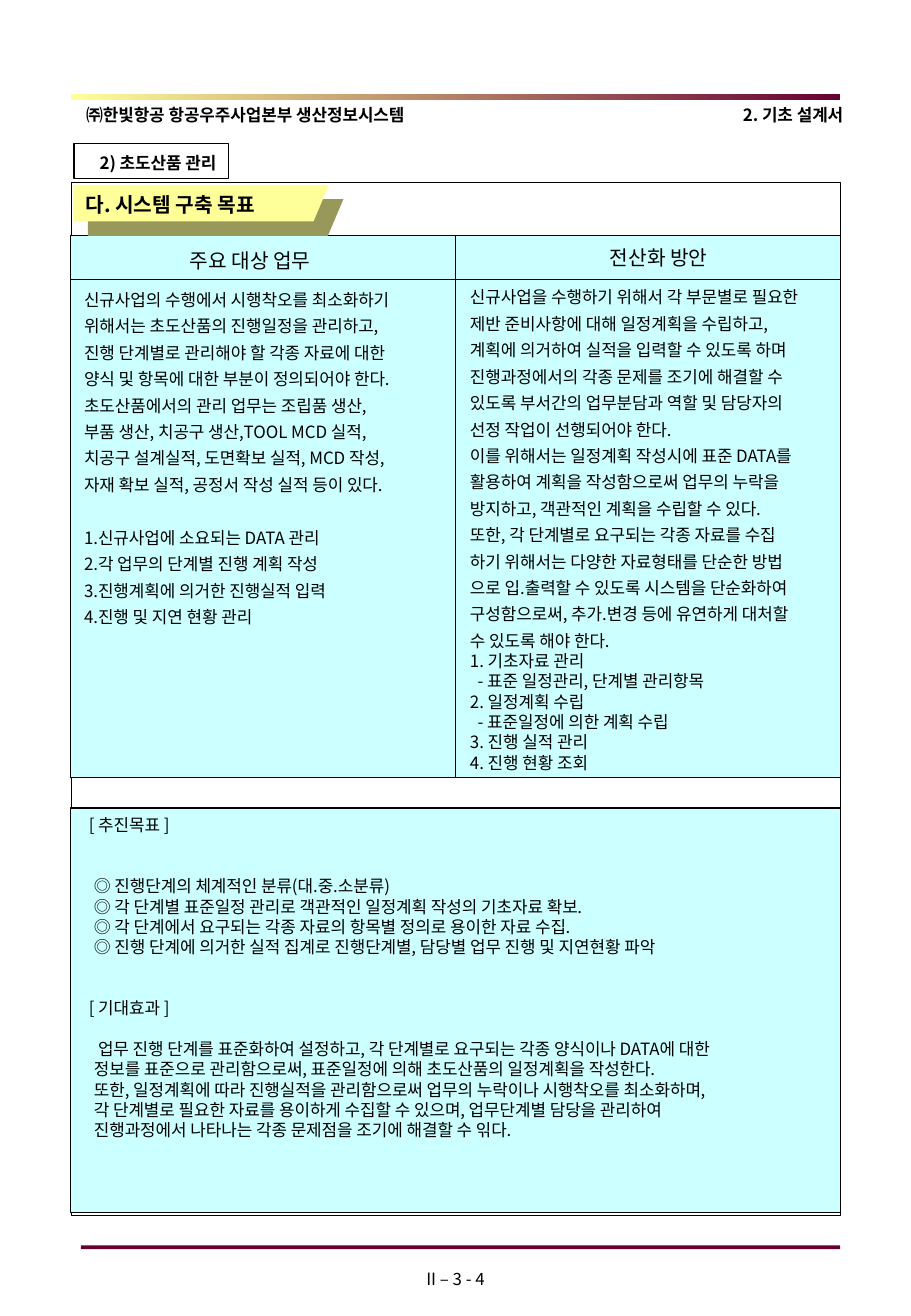
"""Builds the system goals page of the first-article management design document."""
from typing import NamedTuple

from lxml import etree
from pptx import Presentation
from pptx.dml.color import RGBColor
from pptx.enum.shapes import MSO_SHAPE
from pptx.enum.text import MSO_ANCHOR, MSO_AUTO_SIZE, PP_ALIGN
from pptx.oxml.ns import qn
from pptx.util import Pt

RECTANGLE = MSO_SHAPE.RECTANGLE
TOP = MSO_ANCHOR.TOP
NO_AUTOSIZE = MSO_AUTO_SIZE.NONE
LEFT, CENTER, RIGHT = PP_ALIGN.LEFT, PP_ALIGN.CENTER, PP_ALIGN.RIGHT

BLACK = RGBColor(0x00, 0x00, 0x00)
WINE = RGBColor(0x66, 0x00, 0x33)
YELLOW = RGBColor(0xFF, 0xFF, 0x99)
OLIVE = RGBColor(0x98, 0x98, 0x5B)
CYAN = RGBColor(0xCC, 0xFF, 0xFF)

FONT = "Noto Sans CJK KR"
TIGHT, LABEL, HEADING, LOOSE = 12.04, 13.2, 14.4, 15.64


class Line(NamedTuple):
    text: str
    pitch: float = TIGHT
    gap: float = 0
    indent: float = 0
    first: float = 0


TASKS = [Line(text, LOOSE) for text in (
    "신규사업의 수행에서 시행착오를 최소화하기",
    "위해서는 초도산품의 진행일정을 관리하고,",
    "진행 단계별로 관리해야 할 각종 자료에 대한",
    "양식 및 항목에 대한 부분이 정의되어야 한다.",
    "초도산품에서의 관리 업무는 조립품 생산,",
    "부품 생산, 치공구 생산,TOOL MCD 실적,",
    "치공구 설계실적, 도면확보 실적, MCD 작성,",
    "자재 확보 실적, 공정서 작성 실적 등이 있다.",
)] + [
    Line("1.신규사업에 소요되는 DATA 관리", LOOSE, LOOSE),
    Line("2.각 업무의 단계별 진행 계획 작성", LOOSE),
    Line("3.진행계획에 의거한 진행실적 입력", LOOSE),
    Line("4.진행 및 지연 현황 관리", LOOSE),
]

PLANS = [Line(text, LOOSE) for text in (
    "신규사업을 수행하기 위해서 각 부문별로 필요한",
    "제반 준비사항에 대해 일정계획을 수립하고,",
    "계획에 의거하여 실적을 입력할 수 있도록 하며",
    "진행과정에서의 각종 문제를 조기에 해결할 수",
    "있도록 부서간의 업무분담과 역할 및 담당자의",
    "선정 작업이 선행되어야 한다.",
    "이를 위해서는 일정계획 작성시에 표준 DATA를",
    "활용하여 계획을 작성함으로써 업무의 누락을",
    "방지하고, 객관적인 계획을 수립할 수 있다.",
    "또한, 각 단계별로 요구되는 각종 자료를 수집",
    "하기 위해서는 다양한 자료형태를 단순한 방법",
    "으로 입.출력할 수 있도록 시스템을 단순화하여",
    "구성함으로써, 추가.변경 등에 유연하게 대처할",
    "수 있도록 해야 한다.",
)] + [
    Line("1. 기초자료 관리"),
    Line("- 표준 일정관리, 단계별 관리항목", indent=4.5),
    Line("2. 일정계획 수립"),
    Line("- 표준일정에 의한 계획 수립", indent=4.5),
    Line("3. 진행 실적 관리"),
    Line("4. 진행 현황 조회"),
]

GOALS = [
    Line("[ 추진목표 ]"),
    Line("◎ 진행단계의 체계적인 분류(대.중.소분류)", gap=2 * TIGHT, indent=3),
    Line("◎ 각 단계별 표준일정 관리로 객관적인 일정계획 작성의 기초자료 확보.", indent=3),
    Line("◎ 각 단계에서 요구되는 각종 자료의 항목별 정의로 용이한 자료 수집.", indent=3),
    Line("◎ 진행 단계에 의거한 실적 집계로 진행단계별, 담당별 업무 진행 및 지연현황 파악", indent=3),
    Line("[ 기대효과 ]", gap=2 * TIGHT),
    Line("업무 진행 단계를 표준화하여 설정하고, 각 단계별로 요구되는 각종 양식이나 DATA에 대한",
         gap=TIGHT, indent=3, first=2.5),
    Line("정보를 표준으로 관리함으로써, 표준일정에 의해 초도산품의 일정계획을 작성한다.", indent=3),
    Line("또한, 일정계획에 따라 진행실적을 관리함으로써 업무의 누락이나 시행착오를 최소화하며,", indent=3),
    Line("각 단계별로 필요한 자료를 용이하게 수집할 수 있으며, 업무단계별 담당을 관리하여", indent=3),
    Line("진행과정에서 나타나는 각종 문제점을 조기에 해결할 수 읶다.", indent=3),
]


def write_lines(frame, lines, size=10, bold=False, align=LEFT):
    frame.text = "\n".join(line.text for line in lines)
    for paragraph, line in zip(frame.paragraphs, lines):
        paragraph.alignment = align
        paragraph.line_spacing = Pt(line.pitch)
        paragraph.space_before = Pt(line.gap)
        properties = paragraph._p.get_or_add_pPr()
        properties.set("marL", str(Pt(line.indent)))
        properties.set("indent", str(Pt(line.first)))
        for run in paragraph.runs:
            run.font.name = FONT
            run.font.size = Pt(size)
            run.font.bold = bold
            run.font.color.rgb = BLACK
            east_asian = etree.SubElement(run._r.get_or_add_rPr(), qn("a:ea"))
            east_asian.set("typeface", FONT)


def set_frame(frame, left, top, right=0):
    frame.word_wrap = True
    frame.auto_size = NO_AUTOSIZE
    frame.vertical_anchor = TOP
    frame.margin_left, frame.margin_top = Pt(left), Pt(top)
    frame.margin_right, frame.margin_bottom = Pt(right), 0


def add_panel(slide, left, top, width, height, fill=None, line=None):
    panel = slide.shapes.add_shape(RECTANGLE, Pt(left), Pt(top), Pt(width), Pt(height))
    panel.shadow.inherit = False
    if fill is None:
        panel.fill.background()
    else:
        panel.fill.solid()
        panel.fill.fore_color.rgb = fill
    if line is None:
        panel.line.fill.background()
    else:
        panel.line.color.rgb = BLACK
        panel.line.width = Pt(line)
    return panel


def add_label(slide, text, left, top, width, align, pitch=LABEL, bold=True):
    label = slide.shapes.add_textbox(Pt(left), Pt(top), Pt(width), Pt(21))
    margin_left = 0 if align == RIGHT else 7.2
    margin_right = 0 if align == LEFT else 7.2
    set_frame(label.text_frame, margin_left, 4, margin_right)
    write_lines(label.text_frame, [Line(text, pitch)], bold=bold, align=align)


def add_gradient_rule(slide):
    rule = add_panel(slide, 42, 55.5, 456, 3.5, WINE)
    rule.fill.gradient()
    rule.fill.gradient_angle = 0
    for stop, color, position in zip(rule.fill.gradient_stops, (YELLOW, WINE), (0, 1)):
        stop.color.rgb = color
        stop.position = position


def add_title_banner(slide):
    builder = slide.shapes.build_freeform(Pt(43.5), Pt(131.2), scale=1.0)
    corners = [(43.5, 109.5), (195, 109.5), (185.8, 131.2)]
    builder.add_line_segments([(Pt(x), Pt(y)) for x, y in corners], close=True)
    banner = builder.convert_to_shape()
    banner.fill.solid()
    banner.fill.fore_color.rgb = YELLOW
    banner.line.fill.background()
    effects = etree.SubElement(banner.element.spPr, qn("a:effectLst"))
    shadow = etree.SubElement(effects, qn("a:outerShdw"), dist=str(Pt(12.1)),
                              dir="2700000", algn="ctr", rotWithShape="0")
    etree.SubElement(shadow, qn("a:srgbClr"), val=str(OLIVE))

    title = slide.shapes.title
    title.left, title.top, title.width, title.height = Pt(43.5), Pt(109.5), Pt(140), Pt(21.7)
    set_frame(title.text_frame, 7.2, 4.3)
    write_lines(title.text_frame, [Line("다. 시스템 구축 목표", HEADING)], 12, True)
    title.element.getparent().append(title.element)


def format_cell(cell, lines, size, left, top):
    properties = cell._tc.get_or_add_tcPr()
    for side in ("lnL", "lnR", "lnT", "lnB"):
        border = etree.SubElement(properties, qn(f"a:{side}"), w=str(Pt(0.75)))
        paint = etree.SubElement(border, qn("a:solidFill"))
        etree.SubElement(paint, qn("a:srgbClr"), val=str(BLACK))
    cell.fill.solid()
    cell.fill.fore_color.rgb = CYAN
    cell.vertical_anchor = TOP
    cell.margin_left, cell.margin_top = Pt(left), Pt(top)
    cell.margin_right = cell.margin_bottom = 0
    write_lines(cell.text_frame, lines, size)


def add_task_table(slide):
    table = slide.shapes.add_table(2, 2, Pt(42), Pt(139.7), Pt(456), Pt(321.1)).table
    table.first_row = table.horz_banding = False
    for column in table.columns:
        column.width = Pt(228)
    table.rows[0].height, table.rows[1].height = Pt(26), Pt(295.1)
    format_cell(table.cell(0, 0), [Line("주요 대상 업무", HEADING)], 12, 70.5, 8.5)
    format_cell(table.cell(0, 1), [Line("전산화 방안", HEADING)], 12, 91.5, 6.5)
    format_cell(table.cell(1, 0), TASKS, 10, 7.8, 3.2)
    format_cell(table.cell(1, 1), PLANS, 10, 8.6, 1.7)


def main():
    deck = Presentation()
    deck.slide_width, deck.slide_height = Pt(540), Pt(779.76)
    slide = deck.slides.add_slide(deck.slide_layouts[5])

    add_label(slide, "㈜한빛항공 항공우주사업본부 생산정보시스템", 43.9, 56.9, 215, LEFT)
    add_label(slide, "2. 기초 설계서", 410, 56.9, 96.9, RIGHT)
    add_label(slide, "II – 3 - 4", 220.3, 747.4, 99.4, CENTER, TIGHT, False)
    add_panel(slide, 42, 108, 456, 612, line=0.25)
    add_gradient_rule(slide)
    add_panel(slide, 48, 738, 450, 2.2, WINE)

    section = add_panel(slide, 43.9, 85, 91.4, 21, line=0.75)
    set_frame(section.text_frame, 0, 4, 7.2)
    write_lines(section.text_frame, [Line("2) 초도산품 관리", LABEL)], bold=True, align=RIGHT)

    add_task_table(slide)
    goals = add_panel(slide, 42, 478.8, 456, 239.8, CYAN, 0.75)
    set_frame(goals.text_frame, 10.6, 4.1)
    write_lines(goals.text_frame, GOALS)
    add_title_banner(slide)
    deck.save("out.pptx")


if __name__ == "__main__":
    main()
